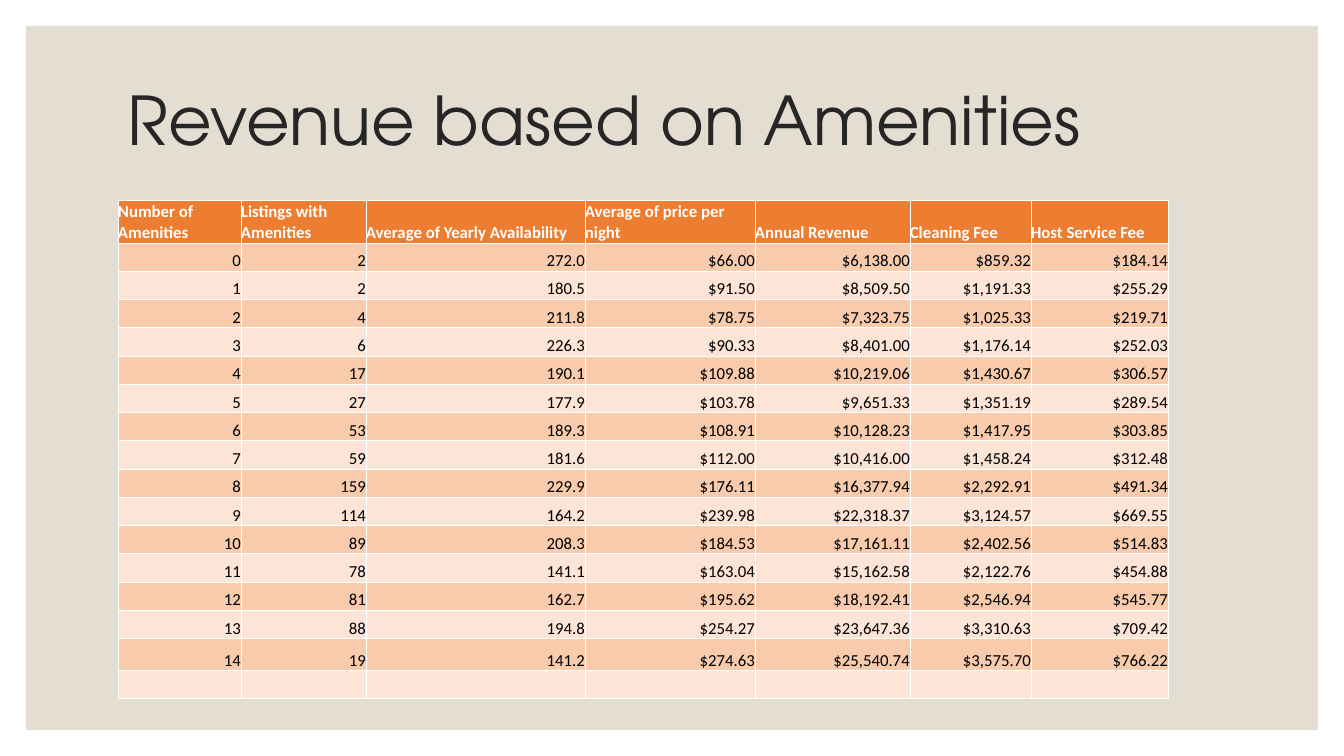
from dataclasses import dataclass

from lxml.etree import SubElement
from pptx import Presentation
from pptx.dml.color import RGBColor
from pptx.enum.shapes import MSO_SHAPE as Shape
from pptx.enum.text import MSO_ANCHOR as Anchor, PP_ALIGN as Align
from pptx.oxml.ns import qn
from pptx.util import Pt

TITLE = "Revenue based on Amenities"
HEADERS = (
    "Number of Amenities", "Listings with Amenities",
    "Average of Yearly Availability", "Average of price per night",
    "Annual Revenue", "Cleaning Fee", "Host Service Fee",
)
# listings, availability, price per night, annual revenue, cleaning fee, service fee
AMENITY_ROWS = (
    (2, 272.0, 66.00, 6138.00, 859.32, 184.14),
    (2, 180.5, 91.50, 8509.50, 1191.33, 255.29),
    (4, 211.8, 78.75, 7323.75, 1025.33, 219.71),
    (6, 226.3, 90.33, 8401.00, 1176.14, 252.03),
    (17, 190.1, 109.88, 10219.06, 1430.67, 306.57),
    (27, 177.9, 103.78, 9651.33, 1351.19, 289.54),
    (53, 189.3, 108.91, 10128.23, 1417.95, 303.85),
    (59, 181.6, 112.00, 10416.00, 1458.24, 312.48),
    (159, 229.9, 176.11, 16377.94, 2292.91, 491.34),
    (114, 164.2, 239.98, 22318.37, 3124.57, 669.55),
    (89, 208.3, 184.53, 17161.11, 2402.56, 514.83),
    (78, 141.1, 163.04, 15162.58, 2122.76, 454.88),
    (81, 162.7, 195.62, 18192.41, 2546.94, 545.77),
    (88, 194.8, 254.27, 23647.36, 3310.63, 709.42),
    (19, 141.2, 274.63, 25540.74, 3575.70, 766.22),
)
FORMATS = ("{}", "{}", "{:.1f}") + ("${:,.2f}",) * 4

# Lengths in pixels
SLIDE_SIZE = (1344, 756)
PANEL_BOX = (26, 26, 1292, 704)
TITLE_BOX = (118, 48, 1109, 151)
TABLE_LEFT, TABLE_TOP = 118, 200
COLUMN_WIDTHS = (123, 125, 219, 170, 155, 121, 137)
HEADER_HEIGHT, LAST_DATA_HEIGHT, EMPTY_HEIGHT = 43, 32, 28
BODY_HEIGHT = 396  # all data rows but the last


@dataclass(frozen=True)
class Theme:
    """Colours, fonts and sizes of the slide."""
    panel: str = "E3DED1"
    title: str = "262626"
    header: str = "ED7D31"
    bands: tuple = ("F8CBAD", "FCE4D6")
    white: str = "FFFFFF"
    body: str = "000000"
    title_font: str = "TeX Gyre Adventor"
    table_font: str = "Calibri"
    title_size: float = 48
    table_size: float = 12
    border: float = 0.5


THEME = Theme()


def px(length):
    """Turn pixels into EMU."""
    return round(length * 914400 / 100.8)


def add_run(paragraph, text, font, size, color, bold=False):
    """Add one formatted run."""
    run = paragraph.add_run()
    run.text = text
    run.font.name, run.font.size, run.font.bold = font, Pt(size), bold
    run.font.color.rgb = RGBColor.from_string(color)


def add_panel(slide):
    """Add the beige panel behind the content."""
    panel = slide.shapes.add_shape(Shape.RECTANGLE, *map(px, PANEL_BOX))
    panel.shadow.inherit = False
    panel.fill.solid()
    panel.fill.fore_color.rgb = RGBColor.from_string(THEME.panel)
    panel.line.fill.background()


def add_title(slide):
    """Add the slide title."""
    frame = slide.shapes.add_textbox(*map(px, TITLE_BOX)).text_frame
    frame.word_wrap = True
    frame.vertical_anchor = Anchor.MIDDLE
    paragraph = frame.paragraphs[0]
    paragraph.line_spacing = 0.9
    add_run(paragraph, TITLE, THEME.title_font, THEME.title_size, THEME.title)


def add_borders(cell):
    """Draw thin white lines on all sides of a cell."""
    properties = cell._tc.get_or_add_tcPr()
    for side in "LRTB":
        line = SubElement(properties, qn(f"a:ln{side}"), w=str(Pt(THEME.border)))
        fill = SubElement(line, qn("a:solidFill"))
        SubElement(fill, qn("a:srgbClr"), val=THEME.white)


def fill_cell(cell, text, is_header, fill):
    """Format one cell and write its text."""
    add_borders(cell)
    cell.fill.solid()
    cell.fill.fore_color.rgb = RGBColor.from_string(fill)
    cell.margin_left = cell.margin_right = cell.margin_top = cell.margin_bottom = 0
    cell.vertical_anchor = Anchor.BOTTOM
    paragraph = cell.text_frame.paragraphs[0]
    paragraph.alignment = Align.LEFT if is_header else Align.RIGHT
    if text:
        color = THEME.white if is_header else THEME.body
        add_run(paragraph, text, THEME.table_font, THEME.table_size, color, is_header)
    else:
        SubElement(paragraph._p, qn("a:endParaRPr"), sz=str(THEME.table_size * 100))


def add_revenue_table(slide):
    """Add the amenities table with banded rows and an empty last row."""
    data = [
        [form.format(value) for form, value in zip(FORMATS, (number, *values))]
        for number, values in enumerate(AMENITY_ROWS)
    ]
    rows = [HEADERS, *data, [""] * len(HEADERS)]
    regular_count = len(data) - 1
    heights = [HEADER_HEIGHT, *[BODY_HEIGHT / regular_count] * regular_count,
               LAST_DATA_HEIGHT, EMPTY_HEIGHT]
    box = (TABLE_LEFT, TABLE_TOP, sum(COLUMN_WIDTHS), sum(heights))
    table = slide.shapes.add_table(len(rows), len(HEADERS), *map(px, box)).table
    table.horz_banding = False
    for column, width in zip(table.columns, COLUMN_WIDTHS):
        column.width = px(width)
    for index, (texts, height) in enumerate(zip(rows, heights)):
        table.rows[index].height = px(height)
        is_header = index == 0
        fill = THEME.header if is_header else THEME.bands[(index - 1) % 2]
        for cell, text in zip(table.rows[index].cells, texts):
            fill_cell(cell, text, is_header, fill)


presentation = Presentation()
presentation.slide_width, presentation.slide_height = map(px, SLIDE_SIZE)
slide = presentation.slides.add_slide(presentation.slide_layouts[6])
add_panel(slide)
add_title(slide)
add_revenue_table(slide)
presentation.save("out.pptx")
